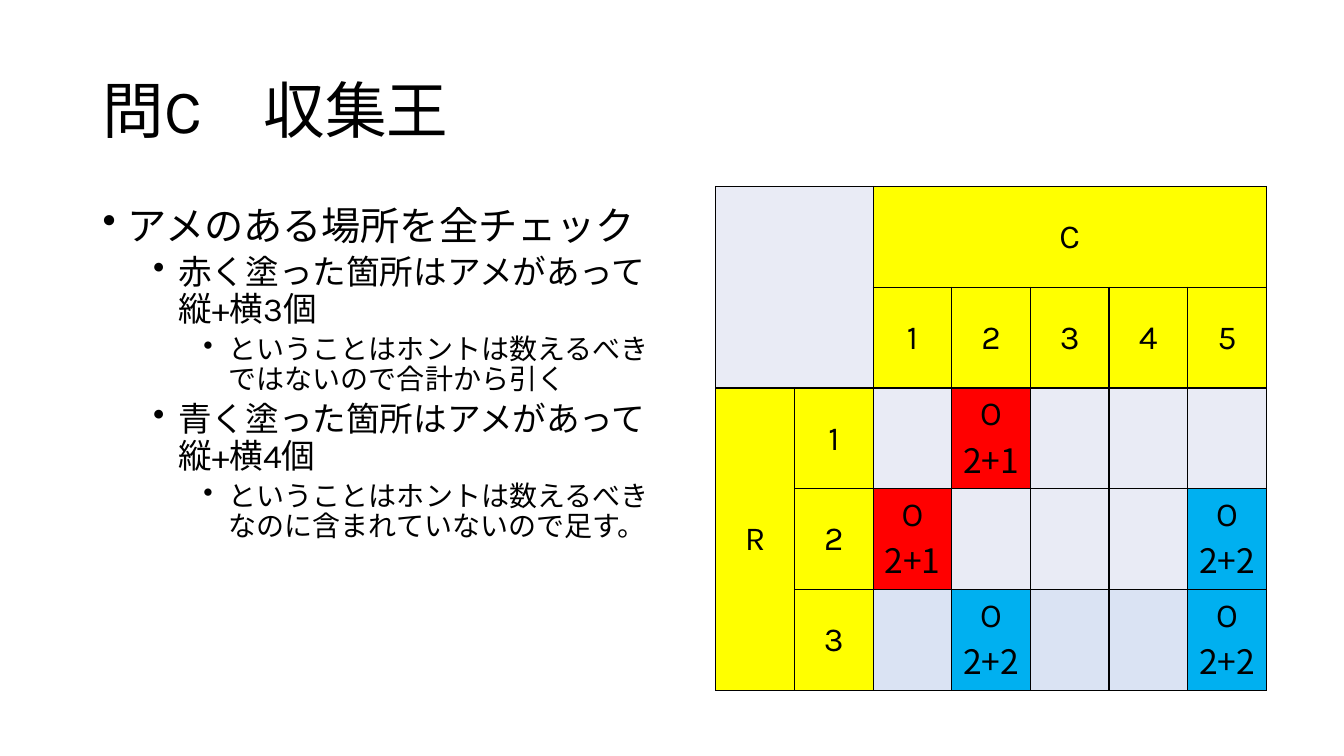
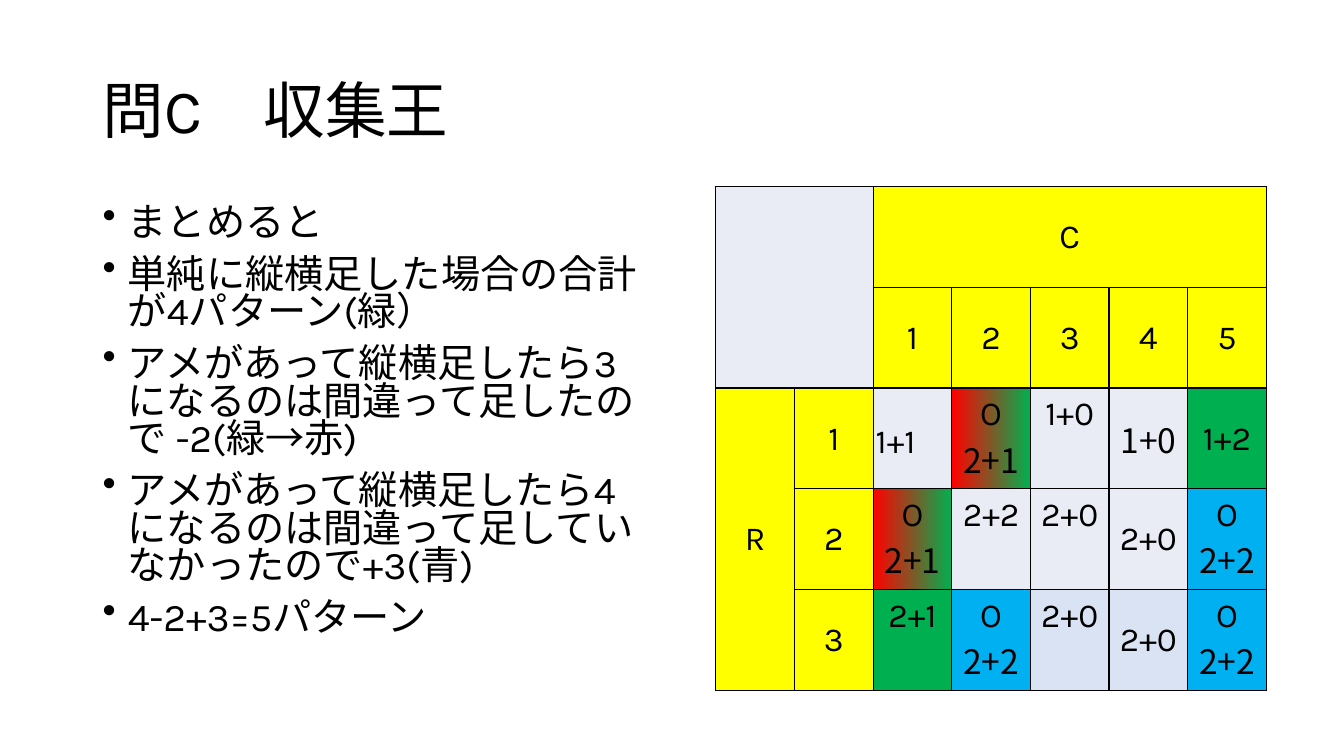
from lxml import etree
from pptx import Presentation
from pptx.dml.color import RGBColor
from pptx.enum import lang, text
from pptx.oxml.ns import qn
from pptx.util import Inches, Pt

# Content
TITLE = "問C\u3000収集王"

# Each bullet: (level, text)
CHECK_BULLETS = [
    (0, "アメのある場所を全チェック"),
    (1, "赤く塗った箇所はアメがあって縦+横3個"),
    (2, "ということはホントは数えるべきではないので合計から引く"),
    (1, "青く塗った箇所はアメがあって縦+横4個"),
    (2, "ということはホントは数えるべきなのに含まれていないので足す。"),
]
SUMMARY_BULLETS = [
    (0, "まとめると"),
    (0, "単純に縦横足した場合の合計が4パターン(緑）"),
    (0, "アメがあって縦横足したら3になるのは間違って足したので -2(緑→赤)"),
    (0, "アメがあって縦横足したら4になるのは間違って足していなかったので+3(青)"),
    (0, "4-2+3=5パターン"),
]

# Inner 3 x 5 grid: "O" marks a candy, with its row + column sum below
CHECK_SUMS = [
    ["", "O\n2+1", "", "", ""],
    ["O\n2+1", "", "", "", "O\n2+2"],
    ["", "O\n2+2", "", "", "O\n2+2"],
]
SUMMARY_SUMS = [
    ["1+1\u3000", "O\n2+1", "1+0\u3000", "1+0", "1+2"],
    ["O\n2+1", "2+2\u3000", "2+0\u3000", "2+0", "O\n2+2"],
    ["2+1\u3000", "O\n2+2", "2+0\u3000", "2+0", "O\n2+2"],
]

# One letter per inner cell, see FILLS
CHECK_PAINT = ["prppp", "rpppb", "qbqqb"]
SUMMARY_PAINT = ["pmppg", "mpppb", "gbqqb"]

# (title, bullets, line spacing, sums, paint, inner cells set in the CJK font)
SLIDES = [
    (TITLE, CHECK_BULLETS, 0.9, CHECK_SUMS, CHECK_PAINT, set()),
    (TITLE, SUMMARY_BULLETS, 0.8, SUMMARY_SUMS, SUMMARY_PAINT, {(0, 3)}),
]

# Shared style
COLORS = {"ink": "000000", "pale": "E9EBF5", "pale_blue": "DAE3F3", "yellow": "FFFF00",
          "red": "FF0000", "green": "00B050", "blue": "00B0F0"}
FILLS = {"p": ["pale"], "q": ["pale_blue"], "y": ["yellow"], "r": ["red"],
         "g": ["green"], "b": ["blue"], "m": ["green", "red"]}
LATIN, CJK = "Karla", "Noto Sans CJK JP"
TITLE_SIZE, CELL_SIZE = 44, 24
LEVELS = [(28, 10), (24, 5), (20, 5)]  # text size, space before
TITLE_BOX = (0.92, 0.4, 11.5, 1.45)
BODY_BOX = (0.92, 2, 5.67, 4.76)
GRID_LEFT, GRID_TOP, COL_WIDTH, ROW_HEIGHT = 7.1, 1.85, 0.78, 1
SPANS = [((0, 0), (1, 1)), ((0, 2), (0, 6)), ((2, 0), (4, 0))]


def rgb(name):
    return RGBColor.from_string(COLORS[name])


def add_run(paragraph, words, size, font=LATIN):
    run = paragraph.add_run()
    run.text = words
    run.font.size = Pt(size)
    run.font.name = font
    run.font.color.rgb = rgb("ink")
    run.font.language_id = lang.MSO_LANGUAGE_ID.JAPANESE
    latin = run.font._element.find(qn("a:latin"))
    east_asian = etree.Element(qn("a:ea"), typeface=CJK)
    latin.addnext(east_asian)


def add_frame(slide, box):
    frame = slide.shapes.add_textbox(*map(Inches, box)).text_frame
    frame.word_wrap = True
    frame.auto_size = text.MSO_AUTO_SIZE.NONE
    return frame


def add_title(slide, title):
    frame = add_frame(slide, TITLE_BOX)
    frame.vertical_anchor = text.MSO_ANCHOR.MIDDLE
    frame.paragraphs[0].line_spacing = 0.9
    add_run(frame.paragraphs[0], title, TITLE_SIZE)


def add_bullets(slide, bullets, spacing):
    frame = add_frame(slide, BODY_BOX)
    for i, (level, words) in enumerate(bullets):
        paragraph = frame.add_paragraph() if i else frame.paragraphs[0]
        size, before = LEVELS[level]
        paragraph.level = level
        paragraph.line_spacing = spacing
        paragraph.space_before = Pt(before)
        props = paragraph._p.get_or_add_pPr()
        props.set("marL", str(Inches(0.25 + 0.5 * level)))
        props.set("indent", str(Inches(-0.25)))
        etree.SubElement(props, qn("a:buChar"), char="•")
        add_run(paragraph, words, size)


def add_borders(cell):
    props = cell._tc.get_or_add_tcPr()
    for side in ("lnL", "lnR", "lnT", "lnB"):
        line = etree.SubElement(props, qn("a:" + side), w=str(Pt(1)))
        solid = etree.SubElement(line, qn("a:solidFill"))
        etree.SubElement(solid, qn("a:srgbClr"), val=COLORS["ink"])


def paint_cell(cell, names):
    if len(names) == 1:
        cell.fill.solid()
        cell.fill.fore_color.rgb = rgb(names[0])
        return
    cell.fill.gradient()
    cell.fill.gradient_angle = 180
    for stop, name in zip(cell.fill.gradient_stops, names):
        stop.color.rgb = rgb(name)


def write_cell(cell, words, first_font):
    cell.margin_left = cell.margin_right = cell.margin_top = Inches(0.01)
    cell.margin_bottom = 0
    cell.vertical_anchor = text.MSO_ANCHOR.MIDDLE
    for i, line in enumerate(words.split("\n") if words else []):
        frame = cell.text_frame
        paragraph = frame.add_paragraph() if i else frame.paragraphs[0]
        paragraph.alignment = text.PP_ALIGN.CENTER
        add_run(paragraph, line, CELL_SIZE, CJK if i else first_font)


def add_grid(slide, sums, paint, cjk_cells):
    # Row and column headings around the inner grid
    words = [["", "", "C", "", "", "", ""], ["", "", *"12345"]]
    words += [["" if r else "R", str(r + 1), *row] for r, row in enumerate(sums)]
    fills = ["ppyyyyy"] * 2 + ["yy" + row for row in paint]
    rows, cols = len(words), len(words[0])
    table = slide.shapes.add_table(
        rows, cols, Inches(GRID_LEFT), Inches(GRID_TOP),
        Inches(cols * COL_WIDTH), Inches(rows * ROW_HEIGHT)).table
    table.first_row = table.horz_banding = False
    for column in table.columns:
        column.width = Inches(COL_WIDTH)
    for r, row in enumerate(table.rows):
        row.height = Inches(ROW_HEIGHT)
        for c, cell in enumerate(row.cells):
            add_borders(cell)
            paint_cell(cell, FILLS[fills[r][c]])
            write_cell(cell, words[r][c], CJK if (r - 2, c - 2) in cjk_cells else LATIN)
    for start, end in SPANS:
        table.cell(*start).merge(table.cell(*end))


# Build
deck = Presentation()
deck.slide_width, deck.slide_height = Inches(13.33), Inches(7.5)
for title, bullets, spacing, sums, paint, cjk_cells in SLIDES:
    slide = deck.slides.add_slide(deck.slide_layouts[6])
    add_title(slide, title)
    add_bullets(slide, bullets, spacing)
    add_grid(slide, sums, paint, cjk_cells)
deck.save("out.pptx")
